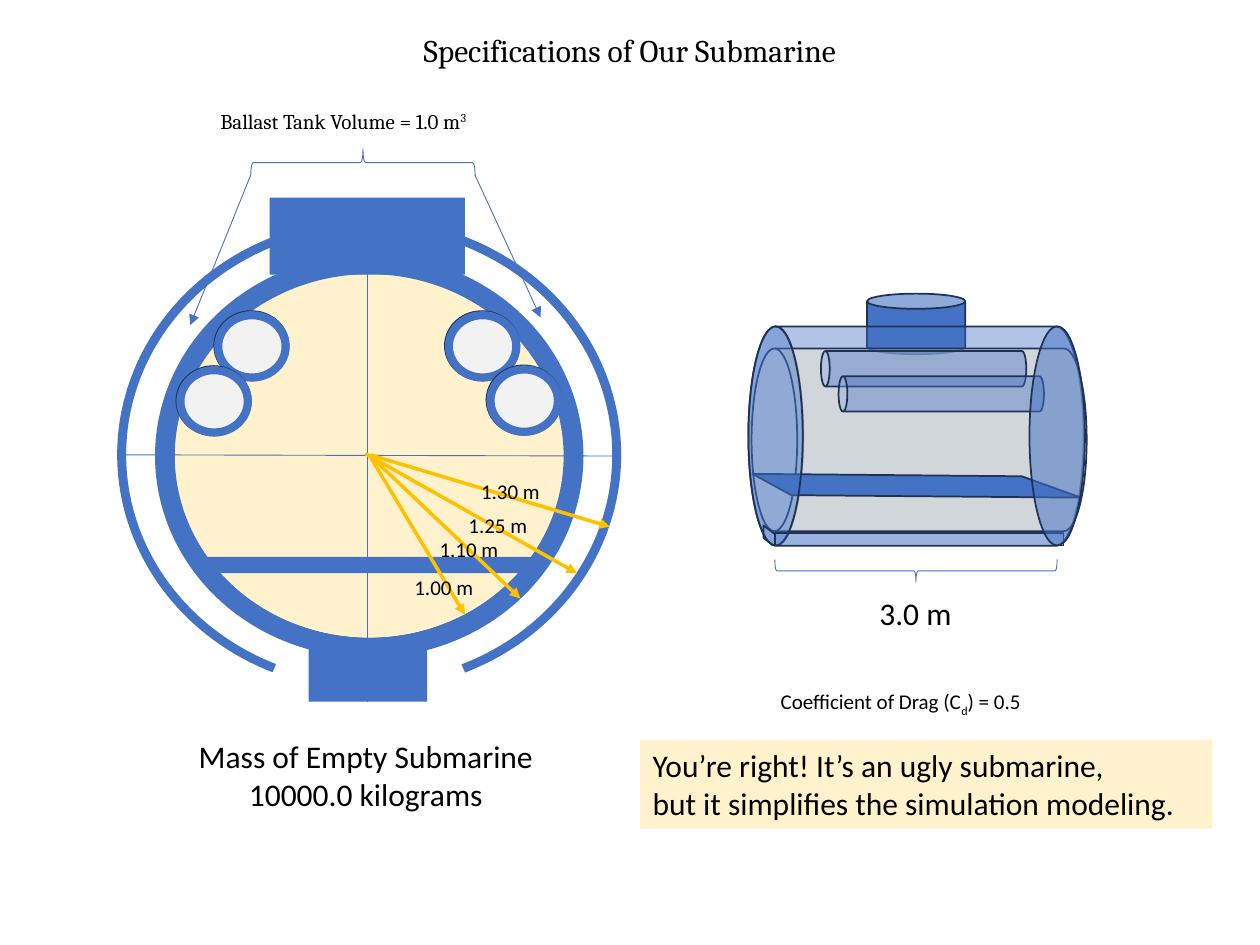
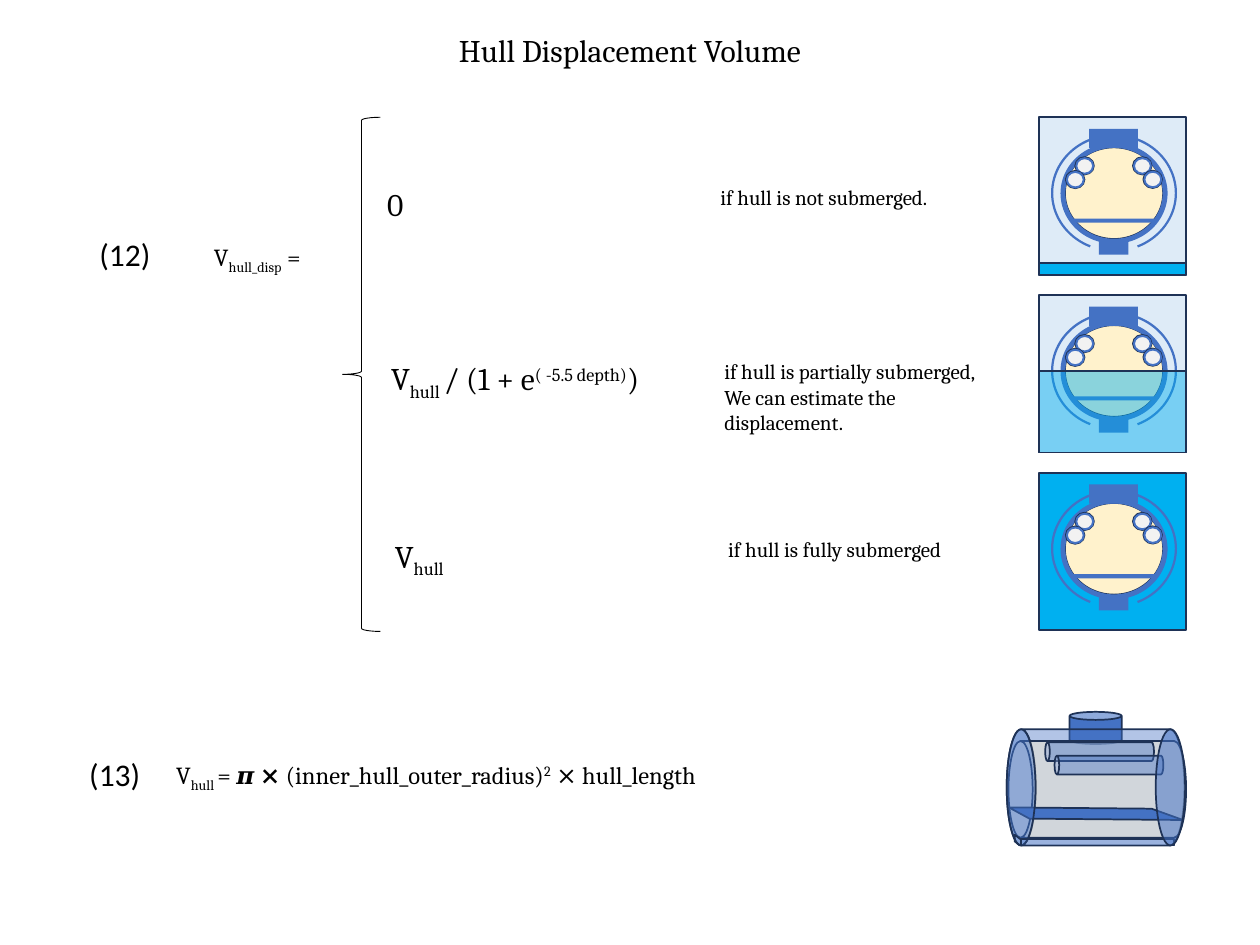
from lxml.etree import SubElement
from pptx import Presentation
from pptx.dml.color import RGBColor
from pptx.enum.shapes import MSO_CONNECTOR, MSO_SHAPE as Shape
from pptx.enum.text import MSO_AUTO_SIZE as Fit, PP_ALIGN as Align
from pptx.oxml.ns import qn
from pptx.util import Pt

BLUE, NAVY, CREAM, PALE = "4472C4", "1E3256", "FFF2CC", "F2F2F2"
GOLD, WATER, SKY, BLACK = "FFC000", "00B0F0", "DEEBF7", "000000"
SANS, SERIF = "Calibri", "Cambria"
EDGE, HAIRLINE, POINTER = (NAVY, 1), (BLUE, 0.5), (GOLD, 2)

# Styles: fill, opacity in percent, outline
STEEL = (BLUE, 100, None)
SOLID = (BLUE, 100, EDGE)
GLASS = (BLUE, 41, EDGE)
END_GLASS = (BLUE, 52, EDGE)
OUTLINE = (None, 100, EDGE)
BRACKET = (None, 100, HAIRLINE)

# Cross section at full size: shape, style, box, adjustments
CROSS_SECTION = [
    (Shape.OVAL, (CREAM, 100, EDGE), (31.7, 42.5, 224.6, 209.5), ()),
    (Shape.RECTANGLE, STEEL, (87.1, 0, 111.6, 43.9), ()),
    (Shape.DONUT, STEEL, (21.6, 32.4, 244.8, 230.4), (0.049,)),
    (Shape.BLOCK_ARC, STEEL, (0, 12.2, 288, 269.3), (68.384, 39.746, 0.019)),
    (Shape.RECTANGLE, STEEL, (48.2, 205.2, 190.8, 9.4), ()),
    (Shape.RECTANGLE, STEEL, (109.4, 254.2, 67.7, 33.8), ()),
]
BALLAST_TANKS = [(187.2, 64.8), (211, 95.8), (55.4, 64.8), (33.8, 96.2)]
for tank_x, tank_y in BALLAST_TANKS:
    CROSS_SECTION += [
        (Shape.OVAL, (PALE, 100, EDGE), (tank_x, tank_y, 42.5, 39.6), ()),
        (Shape.DONUT, STEEL, (tank_x, tank_y, 43.2, 40.3), (0.116,)),
    ]

# Side view at full size: shape, style, box, rotation; or None, style, outline points, closed
SIDE_VIEW = [
    (Shape.CAN, SOLID, (67.7, 0, 56.2, 34.6), 0),
    (Shape.CAN, GLASS, (0, 18.7, 191.5, 125.3), 270),
    (Shape.CAN, (CREAM, 41, EDGE), (1.8, 31.3, 191.5, 104.4), 270),
    (None, SOLID, [(2.2, 103), (24.5, 115.2), (190.1, 116.6), (156.2, 104.4)], True),
    (Shape.CAN, GLASS, (41.4, 32.8, 117.4, 20.2), 270),
    (Shape.CAN, GLASS, (51.5, 47.2, 117.4, 20.2), 270),
    (Shape.OVAL, END_GLASS, (0, 18.7, 31, 125.3), 0),
    (Shape.RECTANGLE, (BLUE, 21, EDGE), (15.1, 136.8, 164.9, 7.2), 0),
    (None, OUTLINE, [(15.1, 137.5), (8.6, 132.5), (8.6, 139.7), (14.4, 144)], False),
    (Shape.OVAL, END_GLASS, (160.6, 18.7, 31.7, 125.3), 0),
]

# Lines: start, end
AXES = [((210.2, 113), (210.2, 401)), ((67, 259.9), (355, 260.6))]
RADII = [
    ((211, 260), (265.7, 351.4)),
    ((211.7, 260.6), (297.4, 342)),
    ((208.8, 259.2), (329.8, 327.6)),
    ((211.7, 260), (348.5, 301)),
]
BALLAST_POINTERS = [((143.3, 100), (108.7, 185.8)), ((271.4, 100), (308.9, 181.4))]
BRACES = [((143.3, 85, 128.2, 15.8), 90), ((442.8, 319.7, 161.3, 13), 270)]

# Texts: box, font, size, paragraphs; a paragraph is a list of strings or (string, baseline)
SUB, SUP = -25, 30
RADIUS_LABELS = [
    ("1.30 m", 267.8, 270), ("1.25 m", 260.6, 289.4),
    ("1.10 m", 244.1, 303.1), ("1.00 m", 229.7, 324.7),
]
SPECIFICATIONS = [
    ((x, y, 49, 21.6), SANS, 12, [[label]]) for label, x, y in RADIUS_LABELS
] + [
    ((118.8, 58.3, 182.9, 21.6), SERIF, 12, [["Ballast Tank Volume = 1.0 m", ("3", SUP)]]),
    ((495.4, 336.2, 64, 28.8), SANS, 18, [["3.0 m"]]),
    ((436.3, 390.2, 157.7, 21.6), SANS, 12,
     [[" Coefficient of Drag (C", ("d", SUB), ") = 0.5"]]),
]
MASS = [["Mass of Empty Submarine"], ["10000.0 kilograms"]]
REMARK = [["You’re right! It’s an ugly submarine,"],
          ["but it simplifies the simulation modeling."]]

EQUATIONS = [
    ((49.7, 131, 43.9, 28.8), SANS, 18, [["(12)"]]),
    ((115.2, 134.6, 84.2, 24.5), SERIF, 14, [["V", ("hull_disp", SUB), " ="]]),
    ((43.9, 427.7, 43.9, 28.8), SANS, 18, [["(13)"]]),
    ((93.6, 430.6, 349.9, 24.5), SERIF, 14,
     [["V", ("hull ", SUB), "= 𝝅 ⨯ (inner_hull_outer_radius)", ("2", SUP),
       " ⨯ hull_length"]]),
    ((210.2, 102.2, 29.5, 28.8), SERIF, 18, [[" 0"]]),
    ((404.6, 102.2, 173.5, 21.6), SERIF, 12, [["if hull is not submerged."]]),
    ((212.4, 201.6, 188.6, 28.8), SERIF, 18,
     [[" V", ("hull ", SUB), "/ (1 + e", ("( -5.5 depth)", SUP), ")"]]),
    ((406.8, 201.6, 180, 51), SERIF, 12,
     [["if hull is partially submerged,"], ["We can estimate the displacement."]]),
    ((214.6, 303.1, 62, 28.8), SERIF, 18, [[" V", ("hull", SUB)]]),
    ((409, 303.1, 154.8, 21.6), SERIF, 12, [["if hull is fully submerged"]]),
]
# Scenes: background, depth of water in front, opacity of that water
SCENES = [(SKY, 6.5, 100), (SKY, 46.8, 46), (WATER, 0, 100)]
SCENE_LEFT, SCENE_TOP, SCENE_WIDTH, SCENE_HEIGHT, SCENE_PITCH = 593.6, 67, 84.2, 90, 101.6


def paint(color_format, color, opacity=100):
    """Set a fill to a colour, or to nothing when the colour is None."""
    if color is None:
        color_format.background()
        return
    color_format.solid()
    color_format.fore_color.rgb = RGBColor.from_string(color)
    if opacity < 100:
        node = color_format._xPr.find(".//" + qn("a:srgbClr"))
        SubElement(node, qn("a:alpha")).set("val", str(opacity * 1000))


def apply_style(shape, style):
    fill, opacity, line = style
    shape.shadow.inherit = False
    paint(shape.fill, fill, opacity)
    color, width = line or (None, 0)
    paint(shape.line.fill, color)
    if line:
        shape.line.width = Pt(width)


def add_part(shapes, kind, style, box, turn=0, adjustments=()):
    """Add a shape that covers box once it is turned."""
    x, y, w, h = box
    if turn in (90, 270):
        x, y, w, h = x + (w - h) / 2, y + (h - w) / 2, h, w
    part = shapes.add_shape(kind, Pt(x), Pt(y), Pt(w), Pt(h))
    part.rotation = turn
    for index, value in enumerate(adjustments):
        part.adjustments[index] = value
    apply_style(part, style)


def add_outline(shapes, style, points, closed):
    corners = [(Pt(x), Pt(y)) for x, y in points]
    builder = shapes.build_freeform(*corners[0])
    builder.add_line_segments(corners[1:], close=closed)
    apply_style(builder.convert_to_shape(), style)


def add_line(slide, ends, line, arrow=False):
    (x1, y1), (x2, y2) = ends
    color, width = line
    connector = slide.shapes.add_connector(
        MSO_CONNECTOR.STRAIGHT, Pt(x1), Pt(y1), Pt(x2), Pt(y2))
    paint(connector.line.fill, color)
    connector.line.width = Pt(width)
    if arrow:
        SubElement(connector.line._get_or_add_ln(), qn("a:tailEnd")).set("type", "triangle")
    SubElement(connector._element.spPr, qn("a:effectLst"))


def add_text(slide, box, font, size, paragraphs, align=Align.LEFT, fill=None, wrap=True):
    textbox = slide.shapes.add_textbox(*map(Pt, box))
    paint(textbox.fill, fill)
    frame = textbox.text_frame
    frame.word_wrap = wrap
    frame.auto_size = Fit.SHAPE_TO_FIT_TEXT
    for index, pieces in enumerate(paragraphs):
        paragraph = frame.add_paragraph() if index else frame.paragraphs[0]
        paragraph.alignment = align
        for piece in pieces:
            words, baseline = (piece, 0) if isinstance(piece, str) else piece
            run = paragraph.add_run()
            run.text = words
            for name, value in {"name": font, "size": Pt(size)}.items():
                setattr(run.font, name, value)
            run.font.color.rgb = RGBColor.from_string(BLACK)
            if baseline:
                run._r.get_or_add_rPr().set("baseline", str(baseline * 1000))


def add_titled_slide(deck, title):
    slide = deck.slides.add_slide(deck.slide_layouts[6])
    add_text(slide, (0, 14.4, 720, 28.8), SERIF, 18, [[title]], Align.CENTER)
    return slide


def draw_cross_section(shapes, left, top, scale=1):
    for kind, style, (x, y, w, h), adjustments in CROSS_SECTION:
        box = (left + x * scale, top + y * scale, w * scale, h * scale)
        add_part(shapes, kind, style, box, adjustments=adjustments)


def draw_side_view(shapes, left, top, scale_x=1, scale_y=1):
    for kind, style, geometry, option in SIDE_VIEW:
        if kind is None:
            points = [(left + x * scale_x, top + y * scale_y) for x, y in geometry]
            add_outline(shapes, style, points, closed=option)
        else:
            x, y, w, h = geometry
            box = (left + x * scale_x, top + y * scale_y, w * scale_x, h * scale_y)
            add_part(shapes, kind, style, box, turn=option)


def draw_scene(shapes, top, background, depth, opacity):
    """Draw the submarine in its panel, with water in front up to the given depth."""
    add_part(shapes, Shape.RECTANGLE, (background, 100, EDGE),
             (SCENE_LEFT, top, SCENE_WIDTH, SCENE_HEIGHT))
    draw_cross_section(shapes, SCENE_LEFT + 7, top + 6.6, 0.25)
    if depth:
        add_part(shapes, Shape.RECTANGLE, (WATER, opacity, EDGE),
                 (SCENE_LEFT, top + SCENE_HEIGHT - depth, SCENE_WIDTH, depth))


def build_specifications(deck):
    slide = add_titled_slide(deck, "Specifications of Our Submarine")
    draw_cross_section(slide.shapes.add_group_shape().shapes, 67, 113)
    for ends in AXES:
        add_line(slide, ends, HAIRLINE)
    for ends in RADII:
        add_line(slide, ends, POINTER, arrow=True)
    for ends in BALLAST_POINTERS:
        add_line(slide, ends, HAIRLINE, arrow=True)
    draw_side_view(slide.shapes.add_group_shape().shapes, 427.7, 167.8)
    for box, turn in BRACES:
        add_part(slide.shapes, Shape.LEFT_BRACE, BRACKET, box, turn)
    for text in SPECIFICATIONS:
        add_text(slide, *text)
    add_text(slide, (87.8, 417.6, 242.6, 51), SANS, 18, MASS, Align.CENTER)
    add_text(slide, (365.8, 422.6, 326.9, 51), SANS, 18, REMARK, fill=CREAM, wrap=False)


def build_displacement(deck):
    slide = add_titled_slide(deck, "Hull Displacement Volume")
    for text in EQUATIONS:
        add_text(slide, *text)
    add_part(slide.shapes, Shape.LEFT_BRACE, (None, 100, (BLACK, 0.5)),
             (195.8, 67, 21.6, 293.8))
    for row, scene in enumerate(SCENES):
        draw_scene(slide.shapes.add_group_shape().shapes,
                   SCENE_TOP + row * SCENE_PITCH, *scene)
    draw_side_view(slide.shapes.add_group_shape().shapes, 575.3, 406.8, 0.53, 0.53)


def main():
    deck = Presentation()
    deck.slide_width, deck.slide_height = Pt(720), Pt(540)
    build_specifications(deck)
    build_displacement(deck)
    deck.save("out.pptx")


if __name__ == "__main__":
    main()
